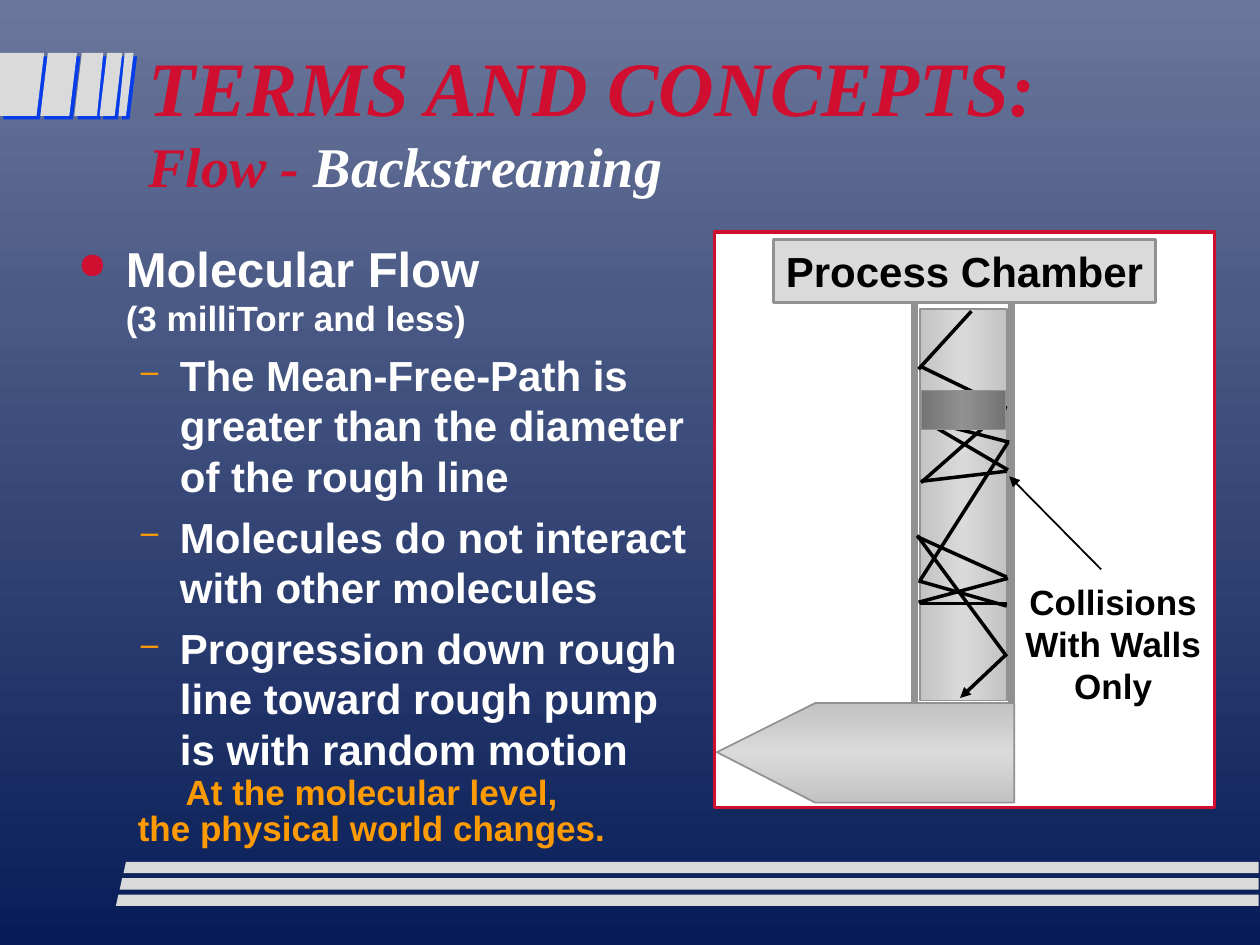
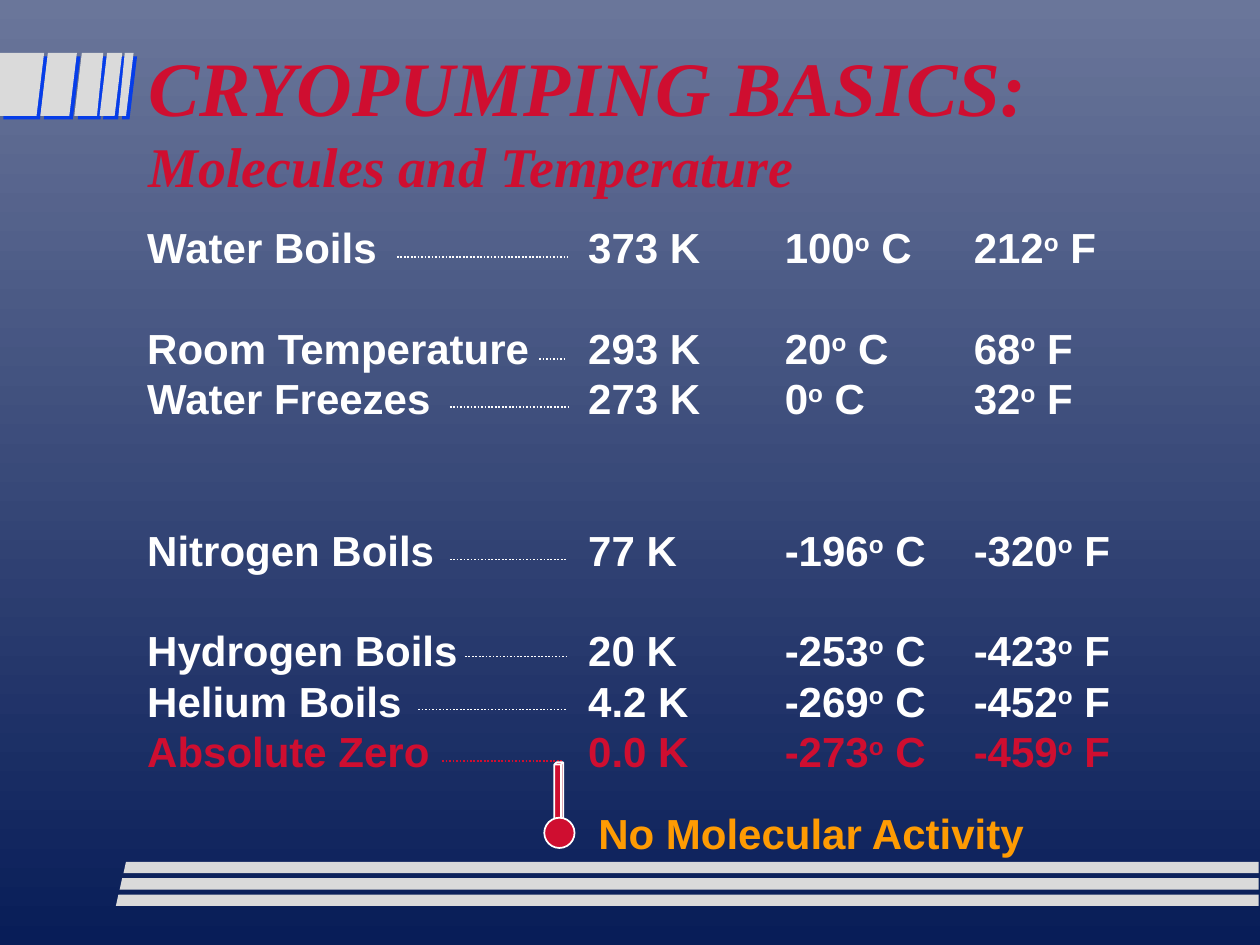
from copy import deepcopy
from dataclasses import dataclass

from lxml.etree import SubElement
from pptx import Presentation
from pptx.dml.color import RGBColor
from pptx.enum.dml import MSO_LINE
from pptx.enum.shapes import MSO_CONNECTOR, MSO_SHAPE
from pptx.enum.text import MSO_ANCHOR, MSO_AUTO_SIZE, PP_ALIGN
from pptx.oxml.ns import qn
from pptx.util import Inches, Pt


@dataclass(frozen=True)
class Theme:
    sky: str = "6A769A"
    navy: str = "081D58"
    red: str = "CF0E30"
    orange: str = "FE9B03"
    white: str = "FFFFFF"
    black: str = "000000"
    silver: str = "DADADA"
    dull_silver: str = "C3C3C3"
    steel: str = "919191"
    dark_steel: str = "737373"
    blue: str = "063DE8"
    title_font: str = "Times New Roman"
    body_font: str = "Arial"
    title: int = 44
    subtitle: int = 32
    lead: int = 28
    body: int = 24
    small: int = 20


theme = Theme()
rgb = RGBColor.from_string


def write(text_frame, lines, size, color, font=theme.body_font,
          align=PP_ALIGN.LEFT, wrap=True):
    text_frame.text = "\n".join(lines)
    text_frame.word_wrap = wrap
    for paragraph in text_frame.paragraphs:
        paragraph.alignment = align
        for run in paragraph.runs:
            run.font.name = font
            run.font.size = Pt(size)
            run.font.bold = True
            run.font.color.rgb = rgb(color)


def add_line(slide, start, end, color, width, dash=None, arrow=False):
    points = [Inches(value) for value in (*start, *end)]
    line = slide.shapes.add_connector(MSO_CONNECTOR.STRAIGHT, *points)
    line.line.color.rgb = rgb(color)
    line.line.width = Pt(width)
    if dash:
        line.line.dash_style = dash
    properties = line.element.spPr
    if arrow:
        SubElement(properties.find(qn("a:ln")), qn("a:tailEnd"), type="triangle")
    SubElement(properties, qn("a:effectLst"))


presentation = Presentation()
presentation.slide_width = Inches(10)
presentation.slide_height = Inches(7.5)
title_only = presentation.slide_layouts[5]
master = presentation.slide_master
flow_slide = presentation.slides.add_slide(title_only)
temperature_slide = presentation.slides.add_slide(title_only)

# Shared background
background = master.background.fill
background.gradient()
background.gradient_angle = 270
for stop, color in zip(background.gradient_stops, (theme.sky, theme.navy)):
    stop.color.rgb = rgb(color)

# Shared slanted blocks and footer stripes, moved onto the master
block_edges = [(0, 0, 0.35, 0.29), (0.38, 0.32, 0.61, 0.55), (0.65, 0.59, 0.82, 0.77),
               (0.85, 0.79, 0.97, 0.91), (0.99, 0.94, 1.06, 1)]
bands = [([(top_left, 0.42), (top_right, 0.42), (low_right, 0.92), (low_left, 0.92)], True)
         for top_left, low_left, top_right, low_right in block_edges]
for row in range(3):
    left, top = 1 - 0.03 * row, 6.84 + 0.13 * row
    bands.append(([(left, top), (9.99, top), (9.99, top + 0.09),
                   (left - 0.02, top + 0.09)], False))

for number, (corners, shadowed) in enumerate(bands):
    corners = [(Inches(x), Inches(y)) for x, y in corners]
    builder = flow_slide.shapes.build_freeform(*corners[0], scale=1.0)
    builder.add_line_segments(corners[1:], close=True)
    band = builder.convert_to_shape()
    band.fill.solid()
    band.fill.fore_color.rgb = rgb(theme.silver)
    band.line.fill.background()
    band.shadow.inherit = False
    if shadowed:
        effects = band.element.spPr.find(qn("a:effectLst"))
        shadow = SubElement(effects, qn("a:outerShdw"), dist=str(Pt(2.8)),
                            dir="2700000", algn="ctr", rotWithShape="0")
        SubElement(shadow, qn("a:srgbClr"), val=theme.blue)
    band.element.nvSpPr.cNvPr.set("id", str(100 + number))
    master.element.cSld.spTree.append(band.element)

# Titles
titles = [(flow_slide, "TERMS AND CONCEPTS:", "Flow - ", "Backstreaming"),
          (temperature_slide, "CRYOPUMPING BASICS:", "Molecules and Temperature", None)]
for slide, heading, subject, highlight in titles:
    title = slide.shapes.title
    title.left, title.top = Inches(1.08), Inches(0.3)
    title.width, title.height = Inches(8.5), Inches(1.29)
    title_frame = title.text_frame
    title_frame.auto_size = MSO_AUTO_SIZE.NONE
    title_frame.vertical_anchor = MSO_ANCHOR.MIDDLE
    write(title_frame, [f"{heading}\v{subject}"], theme.title, theme.red, theme.title_font)
    paragraph = title_frame.paragraphs[0]
    if highlight:
        run = paragraph.add_run()
        run.text = highlight
        run.font.name = theme.title_font
        run.font.bold = True
        run.font.color.rgb = rgb(theme.white)
    for run in paragraph.runs:
        run.font.italic = True
    for run in paragraph.runs[1:]:
        run.font.size = Pt(theme.subtitle)

# Slide 1: molecular flow bullets
shapes = flow_slide.shapes
bullets = shapes.add_textbox(Inches(0.52), Inches(1.84), Inches(5.15), Inches(3.5)).text_frame
write(bullets, ["Molecular Flow\v(3 milliTorr and less)",
                "The Mean-Free-Path is greater than the diameter of the rough line",
                "Molecules do not interact with other molecules",
                "Progression down rough line toward rough pump is with random motion"],
      theme.body, theme.white)
for index, paragraph in enumerate(bullets.paragraphs):
    if index == 0:
        margin, hanging, mark, color = 0.38, 0.38, "●", theme.red
    else:
        margin, hanging, mark, color = 0.81, 0.31, "–", theme.orange
        paragraph.level = 1
    properties = paragraph._p.get_or_add_pPr()
    properties.set("marL", str(Inches(margin)))
    properties.set("indent", str(-Inches(hanging)))
    SubElement(SubElement(properties, qn("a:buClr")), qn("a:srgbClr"), val=color)
    SubElement(properties, qn("a:buSzPct"), val="75000")
    SubElement(properties, qn("a:buChar"), char=mark)
    if index:
        paragraph.space_before = Pt(6)
lead_run, range_run = bullets.paragraphs[0].runs
lead_run.font.size = Pt(theme.lead)
range_run.font.size = Pt(theme.small)

# Slide 1: chamber, rough line and pump
frame = shapes.add_shape(MSO_SHAPE.RECTANGLE, Inches(5.67), Inches(1.84),
                         Inches(3.97), Inches(4.57))
chamber = shapes.add_shape(MSO_SHAPE.RECTANGLE, Inches(6.14), Inches(1.9),
                           Inches(3.03), Inches(0.5))
write(chamber.text_frame, ["Process Chamber"], theme.body, theme.black,
      align=PP_ALIGN.CENTER, wrap=False)
rough_line = shapes.add_shape(MSO_SHAPE.RECTANGLE, Inches(7.3), Inches(2.45),
                              Inches(0.69), Inches(3.11))
for wall_x in (7.26, 8.03):
    add_line(flow_slide, (wall_x, 5.59), (wall_x, 2.41), theme.steel, 4)

pump_outline = [(8.05, 5.58), (6.47, 5.58), (5.69, 5.97), (6.47, 6.37), (8.05, 6.37)]
pump_outline = [(Inches(x), Inches(y)) for x, y in pump_outline]
builder = shapes.build_freeform(*pump_outline[0], scale=1.0)
builder.add_line_segments(pump_outline[1:], close=True)
pump = builder.convert_to_shape()

# Slide 1: bouncing molecule, hidden in part by the valve
bounces = [((7.71, 2.47), (7.29, 2.93)), ((7.99, 3.24), (7.31, 2.91)),
           ((7.98, 3.24), (7.31, 3.83)), ((7.99, 3.74), (7.31, 3.82)),
           ((8, 3.73), (7.32, 3.33)), ((8.01, 3.51), (7.31, 3.33)),
           ((8, 3.51), (7.3, 4.61)), ((7.99, 4.81), (7.29, 4.61)),
           ((7.99, 4.79), (7.3, 4.79)), ((8, 4.59), (7.29, 4.78)),
           ((7.99, 4.58), (7.28, 4.26)), ((7.99, 5.21), (7.28, 4.25)),
           ((7.98, 5.2), (7.62, 5.54))]
for start, end in bounces:
    add_line(flow_slide, start, end, theme.black, 2, arrow=(start, end) == bounces[-1])
valve = shapes.add_shape(MSO_SHAPE.RECTANGLE, Inches(7.31), Inches(3.1),
                         Inches(0.67), Inches(0.31))

# Slide 1: remark and callout
remark = shapes.add_textbox(Inches(0.36), Inches(6.17), Inches(5.18), Inches(0.6)).text_frame
write(remark, ["At the molecular level,", "the physical world changes."],
      theme.small, theme.orange, align=PP_ALIGN.CENTER)
for paragraph in remark.paragraphs:
    paragraph.line_spacing = 0.65
remark.paragraphs[1].space_before = Pt(5)
callout = shapes.add_textbox(Inches(8.03), Inches(4.56), Inches(1.61), Inches(1.1)).text_frame
write(callout, ["Collisions", "With Walls", "Only"], theme.small, theme.black,
      align=PP_ALIGN.CENTER, wrap=False)
add_line(flow_slide, (8.74, 4.52), (8.01, 3.78), theme.black, 1, arrow=True)

# Slide 2: temperatures as substance, K, C, F, skipped lines, leader start, end and height
readings = [("Water Boils", "373", "100", "212", 0, 3.15, 4.51, 2.04),
            ("Room Temperature", "293", "20", "68", 1, 4.28, 4.49, 2.85),
            ("Water Freezes", "273", "0", "32", 0, 3.57, 4.51, 3.23),
            ("Nitrogen Boils", "77", "-196", "-320", 2, 3.57, 4.49, 4.44),
            ("Hydrogen Boils", "20", "-253", "-423", 1, 3.69, 4.51, 5.21),
            ("Helium Boils", "4.2", "-269", "-452", 0, 3.32, 4.49, 5.63),
            ("Absolute Zero", "0.0", "-273", "-459", 0, 3.51, 4.47, 6.04)]
shapes = temperature_slide.shapes
scale = shapes.add_textbox(Inches(1.07), Inches(1.71), Inches(8.35), Inches(4.5)).text_frame
scale.text = "\n".join(f"{name}\t{kelvin} K\t{celsius}" for name, kelvin, celsius, *_ in readings)
scale.word_wrap = True
for paragraph, reading in zip(scale.paragraphs, readings):
    fahrenheit, skipped, leader_start, leader_end, leader_y = reading[3:]
    color = theme.red if reading is readings[-1] else theme.white
    tabs = SubElement(paragraph._p.get_or_add_pPr(), qn("a:tabLst"))
    for position in (3.5, 5.06, 6.56):
        SubElement(tabs, qn("a:tab"), pos=str(Inches(position)), algn="l")
    if skipped:
        paragraph.space_before = Pt(1.2 * theme.body * skipped)
    for text in ("o", f" C\t{fahrenheit}", "o", " F"):
        paragraph.add_run().text = text
    for run in paragraph.runs:
        run.font.name = theme.body_font
        run.font.size = Pt(theme.body)
        run.font.bold = True
        run.font.color.rgb = rgb(color)
        if run.text == "o":
            run._r.get_or_add_rPr().set("baseline", "30000")
    add_line(temperature_slide, (leader_start, leader_y), (leader_end, leader_y),
             color, 1, dash=MSO_LINE.ROUND_DOT)

# Slide 2: thermometer
tube = shapes.add_shape(MSO_SHAPE.CUBE, Inches(4.4), Inches(6.05), Inches(0.07), Inches(0.51))
label = shapes.add_textbox(Inches(4.65), Inches(6.36), Inches(3.59), Inches(0.5)).text_frame
write(label, ["No Molecular Activity"], theme.body, theme.orange, wrap=False)
bulb = shapes.add_shape(MSO_SHAPE.OVAL, Inches(4.32), Inches(6.49), Inches(0.24), Inches(0.24))

# Fills and outlines: edge colour, middle colour, gradient angle, outline, width
finishes = [(frame, theme.white, None, 0, theme.red, 2),
            (chamber, theme.silver, None, 0, theme.steel, 2),
            (rough_line, theme.dull_silver, theme.silver, 0, theme.steel, 1),
            (pump, theme.dull_silver, theme.silver, 90, theme.steel, 1),
            (valve, theme.dark_steel, theme.steel, 0, theme.steel, 1),
            (tube, theme.red, None, 0, theme.white, 1),
            (bulb, theme.red, None, 0, theme.white, 1)]
for shape, edge, middle, angle, outline, width in finishes:
    if middle:
        shape.fill.gradient()
        shape.fill.gradient_angle = angle
        stops = shape.element.spPr.find(qn("a:gradFill")).find(qn("a:gsLst"))
        center_stop = deepcopy(stops[0])
        center_stop.set("pos", "50000")
        stops.insert(1, center_stop)
        for stop, color in zip(shape.fill.gradient_stops, (edge, middle, edge)):
            stop.color.rgb = rgb(color)
    else:
        shape.fill.solid()
        shape.fill.fore_color.rgb = rgb(edge)
    shape.line.color.rgb = rgb(outline)
    shape.line.width = Pt(width)
    shape.shadow.inherit = False

presentation.save("out.pptx")
